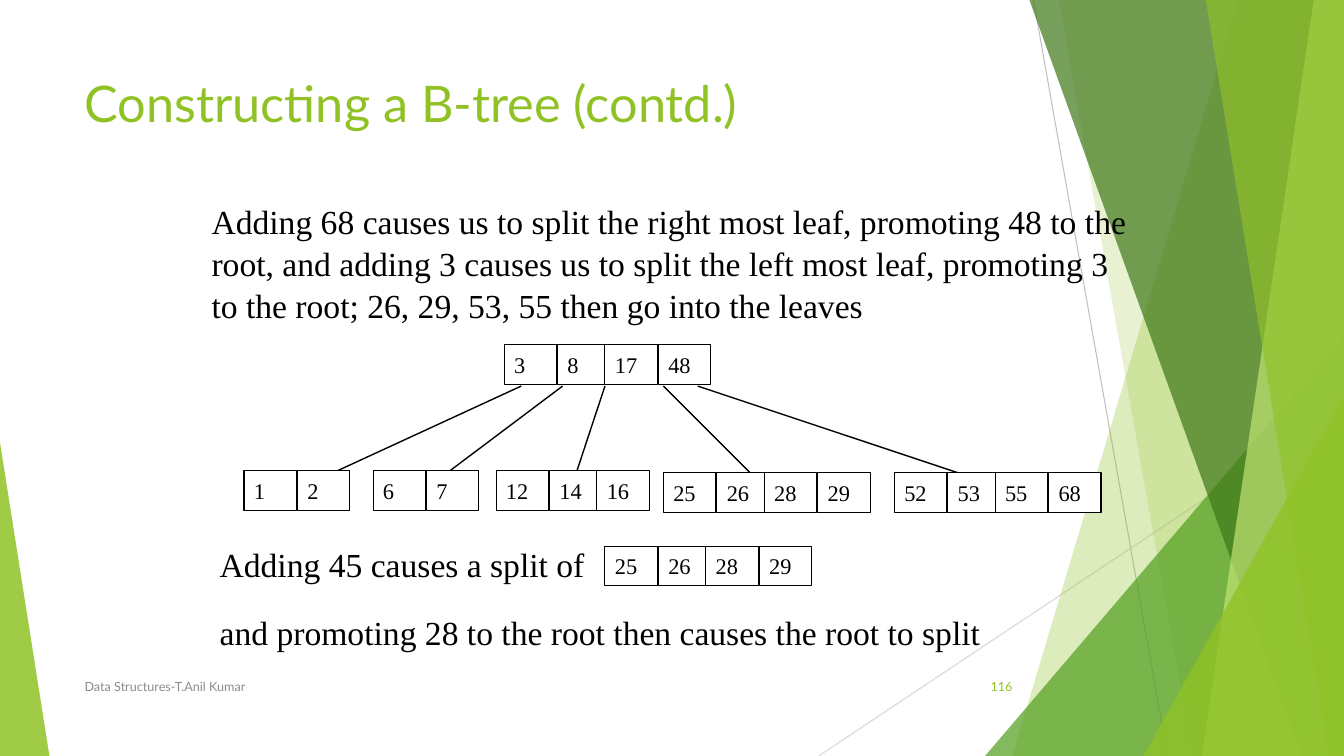
from lxml import etree
from pptx import Presentation
from pptx.dml.color import RGBColor
from pptx.enum import shapes, text
from pptx.oxml.ns import qn
from pptx.util import Inches, Pt

LIME = RGBColor(0x90, 0xC2, 0x26)
GREEN = RGBColor(0x54, 0xA0, 0x21)
DARK_GREEN = RGBColor(0x3F, 0x78, 0x19)
PALE_LIME = RGBColor(0xC0, 0xE4, 0x74)
GRAY = RGBColor(0x8C, 0x8C, 0x8C)
MID_GRAY = RGBColor(0xBF, 0xBF, 0xBF)
LIGHT_GRAY = RGBColor(0xD9, 0xD9, 0xD9)
BLACK = RGBColor(0, 0, 0)
WHITE = RGBColor(0xFF, 0xFF, 0xFF)
W, H = 13.33, 7.5

prs = Presentation()
prs.slide_width, prs.slide_height = Inches(W), Inches(H)
s = prs.slides.add_slide(prs.slide_layouts[5])


def write(sp, words, size, font, color, align=text.PP_ALIGN.LEFT,
          anchor=text.MSO_ANCHOR.TOP, spacing=1.0):
    tf = sp.text_frame
    tf.word_wrap = True
    tf.auto_size = text.MSO_AUTO_SIZE.NONE
    tf.vertical_anchor = anchor
    p = tf.paragraphs[0]
    p.alignment, p.line_spacing = align, spacing
    r = p.add_run()
    r.text = words
    r.font.size, r.font.name, r.font.color.rgb = Pt(size), font, color


def add_line(x1, y1, x2, y2, color, width):
    c = s.shapes.add_connector(shapes.MSO_CONNECTOR.STRAIGHT, Inches(x1),
                               Inches(y1), Inches(x2), Inches(y2))
    c.line.color.rgb, c.line.width = color, Pt(width)
    etree.SubElement(c._element.spPr, qn("a:effectLst"))


# Thin background lines
add_line(10.25, 0, 11.58, H, MID_GRAY, 0.75)
add_line(W, 4.03, 8.12, H, LIGHT_GRAY, 0.75)

# Translucent facets: top-left x, bottom-left x, or triangle (box, apex)
facets = [
    ((12.28, 10.04), LIME, 30),
    ((10.5, 11.83), LIME, 20),
    ((9.77, 3.33, 3.56, 4.17, 1), GREEN, 72),
    ((10.21, 12.91), DARK_GREEN, 70),
    ((13.03, 11.92), PALE_LIME, 70),
    ((11.96, 13.18), LIME, 65),
    ((11.34, 3.93, 1.99, 3.57, 1), LIME, 80),
    ((0, 4.39, 0.49, 3.11, 0), LIME, 85),
]
for geometry, color, opacity in facets:
    if len(geometry) == 2:
        top_x, bottom_x = geometry
        fb = s.shapes.build_freeform(Inches(top_x), 0)
        fb.add_line_segments([(Inches(x), Inches(y)) for x, y in
                              [(W, 0), (W, H), (bottom_x, H)]])
        sp = fb.convert_to_shape()
    else:
        *box, apex = geometry
        sp = s.shapes.add_shape(shapes.MSO_SHAPE.ISOSCELES_TRIANGLE,
                                *[Inches(v) for v in box])
        sp.adjustments[0] = apex
    sp.shadow.inherit = False
    sp.line.fill.background()
    sp.fill.solid()
    sp.fill.fore_color.rgb = color
    clr = sp._element.spPr.find(qn("a:solidFill"))[0]
    etree.SubElement(clr, qn("a:alpha")).set("val", str(opacity * 1000))

# Title
title = s.shapes.title
title.left, title.top = Inches(0.74), Inches(0.67)
title.width, title.height = Inches(9.4), Inches(1.44)
write(title, "Constructing a B-tree (contd.)", 36, "Lato", LIME)

# Footer and slide number
for x, w, words, color, align in [
        (0.74, 6.89, "Data Structures-T.Anil Kumar", GRAY, text.PP_ALIGN.LEFT),
        (9.39, 0.75, "116", LIME, text.PP_ALIGN.RIGHT)]:
    sp = s.shapes.add_textbox(Inches(x), Inches(6.61), Inches(w), Inches(0.4))
    write(sp, words, 9, "Lato", color, align, text.MSO_ANCHOR.MIDDLE)

# Tree edges from the root to the leaves
for x1, x2 in [(5.17, 3), (5.58, 4.25), (6, 5.67), (6.58, 7.58), (6.92, 9.92)]:
    add_line(x1, 3.83, x2, 4.83, BLACK, 1)

# Explanations
for x, y, w, h, words in [
        (2, 1.92, 9.33, 1.31,
         "Adding 68 causes us to split the right most leaf, promoting 48 to "
         "the root, and adding 3 causes us to split the left most leaf, "
         "promoting 3 to the root; 26, 29, 53, 55 then go into the leaves"),
        (2.08, 5.33, 4, 0.5, "Adding 45 causes a split of"),
        (2.08, 6, 9.08, 0.5,
         "and promoting 28 to the root then causes the root to split")]:
    sp = s.shapes.add_textbox(Inches(x), Inches(y), Inches(w), Inches(h))
    write(sp, words, 24, "Times New Roman", BLACK, spacing=1.05)

# B-tree nodes: root, leaves, and the leaf about to split
nodes = [
    (5, 3.42, [3, 8, 17, 48]),
    (8.87, 4.69, [52, 53, 55, 68]),
    (6.58, 4.69, [25, 26, 28, 29]),
    (2.42, 4.67, [1, 2]),
    (3.7, 4.67, [6, 7]),
    (4.92, 4.67, [12, 14, 16]),
    (6, 5.42, [25, 26, 28, 29]),
]
KEY_OFFSETS = [0, 0.53, 1, 1.53]
for x, y, keys in nodes:
    for offset, key in zip(KEY_OFFSETS, keys):
        sp = s.shapes.add_shape(shapes.MSO_SHAPE.RECTANGLE, Inches(x + offset),
                                Inches(y), Inches(0.52), Inches(0.39))
        sp.shadow.inherit = False
        sp.fill.solid()
        sp.fill.fore_color.rgb = WHITE
        sp.line.color.rgb, sp.line.width = BLACK, Pt(0.75)
        write(sp, str(key), 16, "Times New Roman", BLACK, spacing=1.05)

prs.save("out.pptx")
